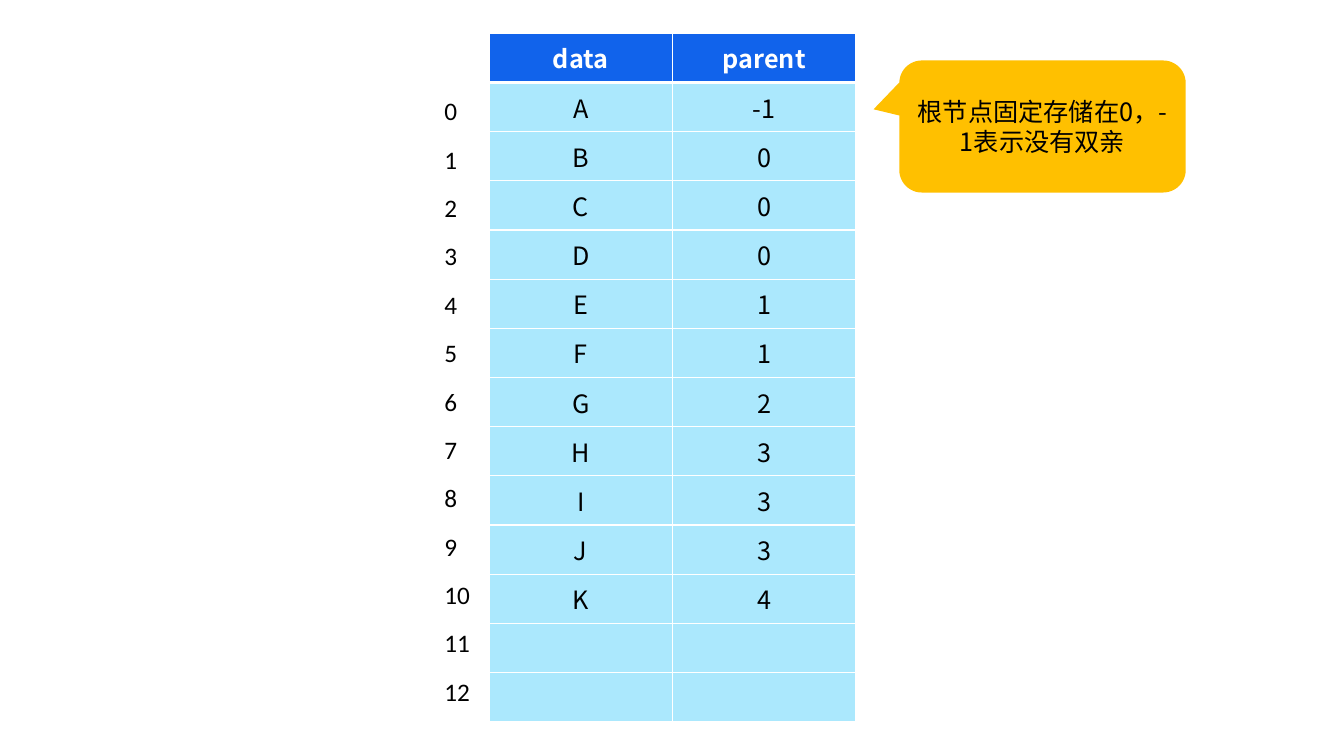
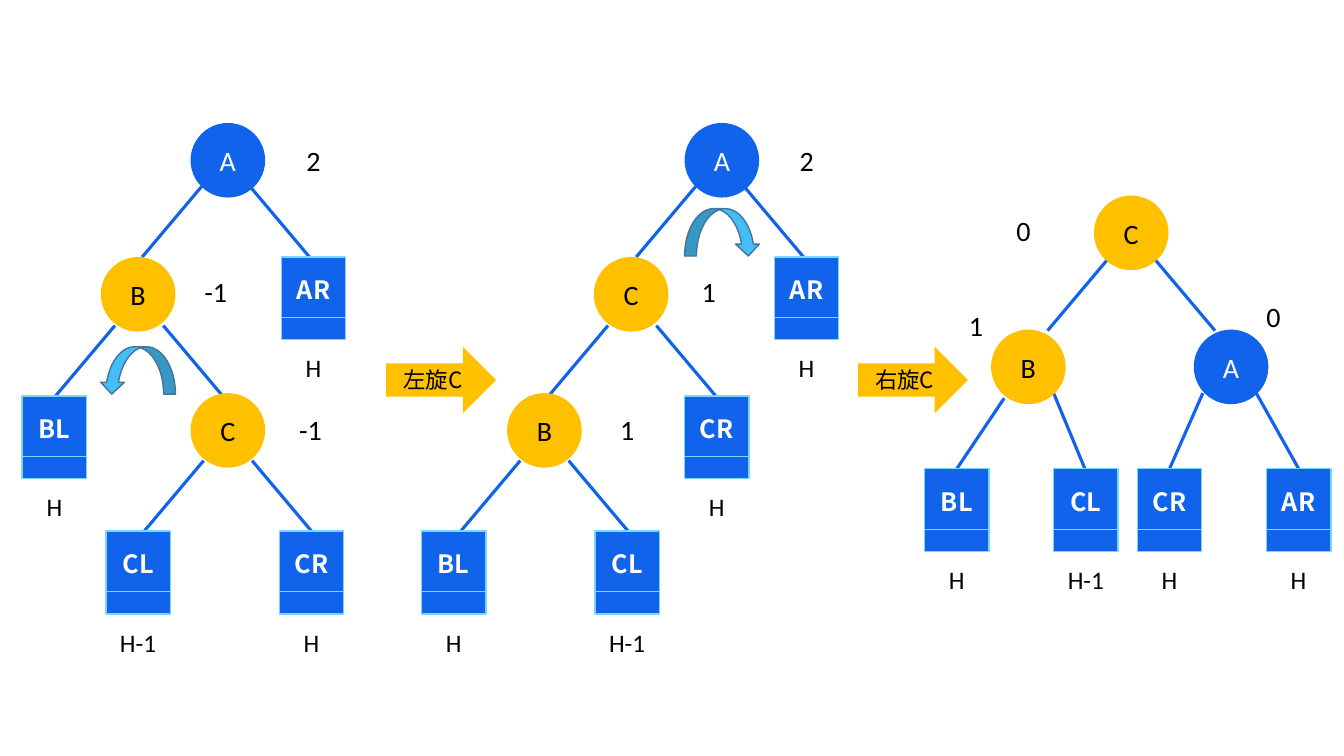
"""Build two slides: parent storage of a tree, and a double rotation."""
from dataclasses import dataclass

from lxml import etree
from pptx import Presentation
from pptx.dml.color import RGBColor
from pptx.enum.shapes import MSO_CONNECTOR, MSO_SHAPE
from pptx.enum.text import MSO_ANCHOR, MSO_AUTO_SIZE, PP_ALIGN
from pptx.oxml.ns import qn
from pptx.util import Inches, Pt

CENTER, LEFT = PP_ALIGN.CENTER, PP_ALIGN.LEFT
MIDDLE = MSO_ANCHOR.MIDDLE
GROW = MSO_AUTO_SIZE.SHAPE_TO_FIT_TEXT
STRAIGHT = MSO_CONNECTOR.STRAIGHT
OVAL, RECTANGLE = MSO_SHAPE.OVAL, MSO_SHAPE.RECTANGLE
RIGHT_ARROW, CURVED_ARROW = MSO_SHAPE.RIGHT_ARROW, MSO_SHAPE.CURVED_DOWN_ARROW
CALLOUT = MSO_SHAPE.ROUNDED_RECTANGULAR_CALLOUT


@dataclass(frozen=True)
class Theme:
    """Colours, fonts and type sizes of the deck."""
    blue: str = "1163EB"
    pale: str = "ABE8FD"
    rim: str = "79D7F9"
    sky: str = "45BEF5"
    steel: str = "43739E"
    gold: str = "FFC000"
    black: str = "000000"
    white: str = "FFFFFF"
    latin: str = "Calibri"
    han: str = "Noto Sans CJK SC"
    step: int = 16
    body: int = 18
    node: int = 20


PARENTS = [("A", "-1"), ("B", "0"), ("C", "0"), ("D", "0"), ("E", "1"),
           ("F", "1"), ("G", "2"), ("H", "3"), ("I", "3"), ("J", "3"),
           ("K", "4"), ("", ""), ("", "")]

FORKS = [(2.24, 1.85), (1.38, 3.23), (2.26, 4.57),
         (7.14, 1.85), (6.27, 3.23), (5.4, 4.57), (11.22, 2.58)]
EDGES = [(9.96, 3.95, 9.49, 4.65), (10.45, 3.9, 10.76, 4.65),
         (11.93, 3.9, 11.6, 4.65), (12.46, 3.9, 12.88, 4.65)]
NODES = [("A", 2.26, 1.59), ("B", 1.37, 2.92), ("C", 2.26, 4.27),
         ("A", 7.16, 1.59), ("C", 6.26, 2.92), ("B", 5.4, 4.27),
         ("C", 11.22, 2.31), ("B", 10.2, 3.64), ("A", 12.21, 3.64)]
BALANCES = [("2", 3.11, 1.59), ("-1", 2.14, 2.89), ("-1", 3.08, 4.26),
            ("2", 8, 1.59), ("1", 7.03, 2.89), ("1", 6.22, 4.26),
            ("0", 10.15, 2.29), ("1", 9.68, 3.23), ("0", 12.63, 3.14)]
SUBTREES = [("BL", "H", 0.54, 3.93), ("AR", "H", 3.11, 2.55),
            ("CL", "H-1", 1.37, 5.27), ("CR", "H", 3.09, 5.27),
            ("CR", "H", 7.11, 3.93), ("AR", "H", 8, 2.55),
            ("BL", "H", 4.5, 5.27), ("CL", "H-1", 6.22, 5.27),
            ("BL", "H", 9.49, 4.65), ("CL", "H-1", 10.77, 4.65),
            ("CR", "H", 11.6, 4.65), ("AR", "H", 12.88, 4.65)]


class SlideBuilder:
    """Draws styled elements on the current slide."""

    def __init__(self, deck, theme):
        """Keep the deck and its theme."""
        self.deck = deck
        self.theme = theme
        self.page = None

    def new_page(self):
        """Start a blank slide."""
        self.page = self.deck.slides.add_slide(self.deck.slide_layouts[6])

    def fill_text(self, frame, lines, size, font, color, bold=False,
                  align=CENTER, spacing=None):
        """Set each line as a formatted paragraph."""
        for index, line in enumerate(lines):
            para = frame.add_paragraph() if index else frame.paragraphs[0]
            layout = {"alignment": align, "line_spacing": spacing}
            for name, value in layout.items():
                setattr(para, name, value)
            span = para.add_run()
            span.text = line
            looks = {"name": font, "size": Pt(size), "bold": bold}
            for name, value in looks.items():
                setattr(span.font, name, value)
            span.font.color.rgb = RGBColor.from_string(color)
            properties = span._r.get_or_add_rPr()
            etree.SubElement(properties, qn("a:ea"), typeface=font)

    def shape(self, kind, left, top, width, height, fill, line=None):
        """Add a flat preset shape."""
        shape = self.page.shapes.add_shape(
            kind, Inches(left), Inches(top), Inches(width), Inches(height))
        shape.shadow.inherit = False
        shape.fill.solid()
        shape.fill.fore_color.rgb = RGBColor.from_string(fill)
        if line:
            shape.line.color.rgb = RGBColor.from_string(line)
            shape.line.width = Pt(1)
        else:
            shape.line.fill.background()
        return shape

    def text(self, lines, left, top, width, height, size, wrap=True, **style):
        """Add a text box in the Latin font."""
        box = self.page.shapes.add_textbox(
            Inches(left), Inches(top), Inches(width), Inches(height))
        settings = {"word_wrap": wrap, "auto_size": GROW}
        for name, value in settings.items():
            setattr(box.text_frame, name, value)
        self.fill_text(box.text_frame, lines, size, self.theme.latin,
                       self.theme.black, **style)

    def edge(self, x1, y1, x2, y2):
        """Draw one branch of a tree."""
        edge = self.page.shapes.add_connector(
            STRAIGHT, Inches(x1), Inches(y1), Inches(x2), Inches(y2))
        edge.line.color.rgb = RGBColor.from_string(self.theme.blue)
        edge.line.width = Pt(2.25)
        etree.SubElement(edge._element.spPr, qn("a:effectLst"))

    def fork(self, x, y):
        """Draw two mirrored branches below a node."""
        for side in (-1, 1):
            self.edge(x + side * 0.24, y, x + side * 0.83, y + 0.7)

    def node(self, letter, x, y):
        """Draw a round node about its centre."""
        theme = self.theme
        fill, color = ((theme.blue, theme.white) if letter == "A"
                       else (theme.gold, theme.black))
        oval = self.shape(OVAL, x - 0.37, y - 0.37, 0.74, 0.74, fill)
        self.fill_text(oval.text_frame, [letter], theme.node, theme.latin,
                       color)

    def balance(self, factor, x, y):
        """Set a balance factor about its centre."""
        self.text([factor], x - 0.34, y - 0.22, 0.68, 0.44, self.theme.node)

    def subtree(self, name, height, x, top):
        """Draw a subtree block with its height below."""
        theme = self.theme
        block = self.shape(RECTANGLE, x - 0.32, top, 0.64, 0.64,
                           theme.blue, theme.rim)
        self.fill_text(block.text_frame, [name], theme.body, theme.han,
                       theme.white, bold=True)
        self.shape(RECTANGLE, x - 0.32, top + 0.6, 0.64, 0.22,
                   theme.blue, theme.rim)
        self.text([height], x - 0.37, top + 0.9, 0.74, 0.4, theme.body)

    def rotation(self, left, top, mirrored=False):
        """Draw a curved rotation arrow."""
        arrow = self.shape(CURVED_ARROW, left, top, 0.75, 0.47,
                           self.theme.sky, self.theme.steel)
        if mirrored:
            arrow._element.spPr.xfrm.set("flipH", "1")

    def step(self, label, left, top):
        """Draw a block arrow naming the next step."""
        arrow = self.shape(RIGHT_ARROW, left, top, 1.09, 0.66, self.theme.gold)
        self.fill_text(arrow.text_frame, [label], self.theme.step,
                       self.theme.han, self.theme.black)

    def callout(self, label, left, top, width, height, adjustments):
        """Draw a speech bubble."""
        bubble = self.shape(CALLOUT, left, top, width, height, self.theme.gold)
        for index, value in enumerate(adjustments):
            bubble.adjustments[index] = value
        self.fill_text(bubble.text_frame, [label], self.theme.body,
                       self.theme.han, self.theme.black)

    def borders(self, cell, widths):
        """Give a cell white borders of the given widths."""
        properties = cell._tc.get_or_add_tcPr()
        for side, width in widths.items():
            line = etree.SubElement(properties, qn(f"a:ln{side}"),
                                    w=str(int(Pt(width))))
            fill = etree.SubElement(line, qn("a:solidFill"))
            etree.SubElement(fill, qn("a:srgbClr"), val=self.theme.white)

    def table(self, rows, left, top, width, height):
        """Draw a table whose first row is the header."""
        theme = self.theme
        table = self.page.shapes.add_table(
            len(rows), len(rows[0]), Inches(left), Inches(top),
            Inches(width), Inches(height)).table
        table.horz_banding = False
        for row, values in enumerate(rows):
            header = row == 0
            widths = {"L": 1, "R": 1, "T": 3 if row == 1 else 1,
                      "B": 3 if header else 1}
            for column, value in enumerate(values):
                cell = table.cell(row, column)
                self.borders(cell, widths)
                cell.fill.solid()
                cell.fill.fore_color.rgb = RGBColor.from_string(
                    theme.blue if header else theme.pale)
                cell.vertical_anchor = MIDDLE
                if value:
                    self.fill_text(
                        cell.text_frame, [value], theme.body, theme.han,
                        theme.white if header else theme.black, header)


def parent_slide(builder):
    """Show the parent array of a tree."""
    builder.new_page()
    builder.table([("data", "parent")] + PARENTS, 4.85, 0.33, 3.64, 6.83)
    builder.text([str(index) for index in range(len(PARENTS))],
                 4.31, 0.72, 0.48, 6.4, builder.theme.body,
                 wrap=False, align=LEFT, spacing=1.6)
    builder.callout("根节点固定存储在0，-1表示没有双亲",
                    8.92, 0.6, 2.84, 1.31, (-0.59, -0.13, 0.17))


def rotation_slide(builder):
    """Show a left rotation followed by a right rotation."""
    builder.new_page()
    for draw, items in ((builder.fork, FORKS), (builder.edge, EDGES),
                        (builder.node, NODES), (builder.balance, BALANCES),
                        (builder.subtree, SUBTREES)):
        for item in items:
            draw(*item)
    builder.rotation(0.99, 3.44, mirrored=True)
    builder.rotation(6.79, 2.07)
    builder.step("左旋C", 3.83, 3.44)
    builder.step("右旋C", 8.51, 3.44)


def main():
    """Build and save the deck."""
    deck = Presentation()
    deck.slide_width, deck.slide_height = Inches(13.33), Inches(7.5)
    builder = SlideBuilder(deck, Theme())
    parent_slide(builder)
    rotation_slide(builder)
    deck.save("out.pptx")


if __name__ == "__main__":
    main()
